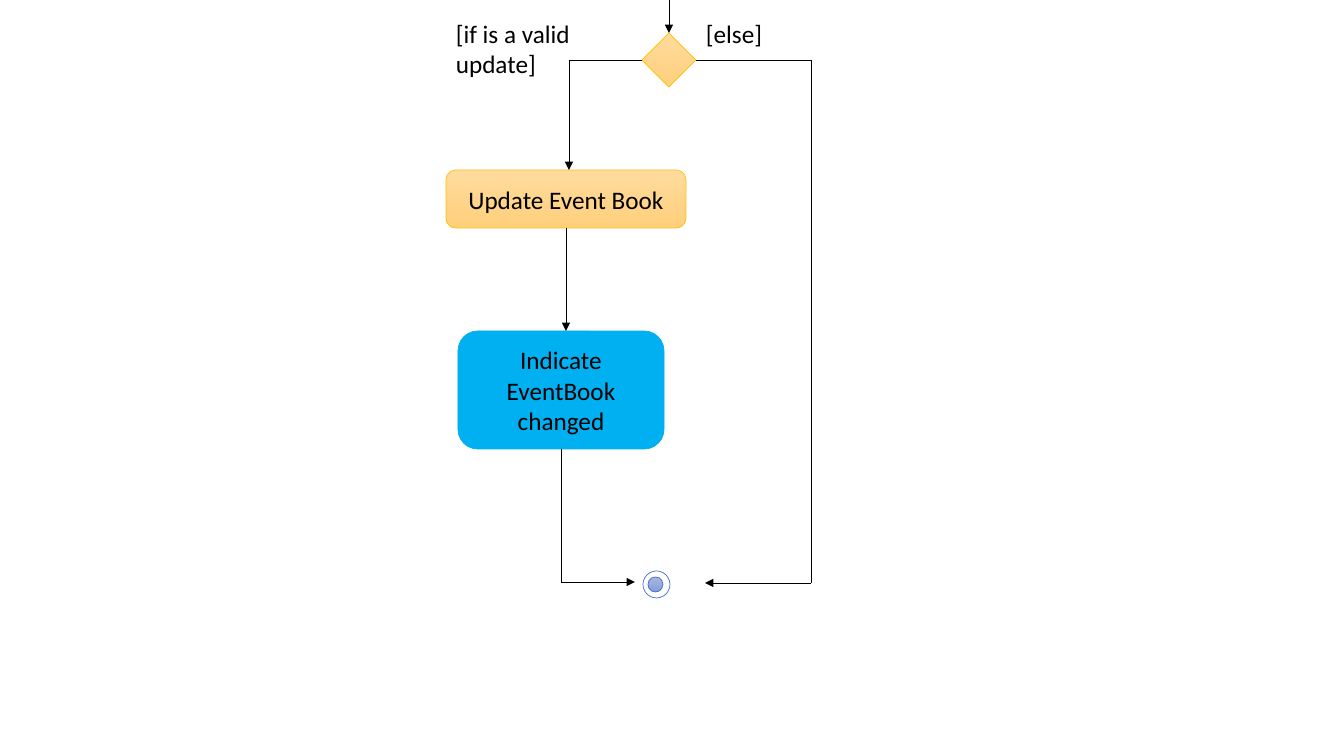
from pptx import Presentation
from pptx import util as u
from pptx.dml.color import RGBColor
from pptx.enum import shapes, text
from pptx.oxml.ns import qn
from lxml import etree

PX = 914400 / 100.8
TOP, LEFT, BOTTOM, RIGHT = range(4)
COLORS = {
    "ink": "000000", "white": "FFFFFF", "gold": "FFC000",
    "gold_light": "FFDB9E", "gold_deep": "FFD07C", "cyan": "00B0F0",
    "blue": "4472C4", "blue_light": "A8B7DF", "blue_deep": "889ED7",
}
GOLD_FADE = ("gold_light", "gold_deep")
BLUE_FADE = ("blue_light", "blue_deep")
KIND = shapes.MSO_SHAPE

NODES = {
    "decision": (KIND.DIAMOND, (642, 33, 54, 54), GOLD_FADE, "gold", ""),
    "update": (KIND.ROUNDED_RECTANGLE, (446, 170, 240, 58), GOLD_FADE, "gold",
               "Update Event Book"),
    "indicate": (KIND.ROUNDED_RECTANGLE, (458, 331, 206, 118), ("cyan",), "cyan",
                 "Indicate EventBook changed"),
}
END_RINGS = [
    (KIND.OVAL, (643, 571, 27, 27), ("white",), "blue", ""),
    (KIND.OVAL, (648, 577, 15, 15), BLUE_FADE, "blue", ""),
]
GUARDS = [
    ("[if is a valid update]", (446, 13, 210, 71)),
    ("[else]", (696, 13, 94, 40)),
]
FLOWS = [
    ((669, -34), (669, 33), True, None, ("decision", TOP)),
    ((569, 60), (642, 60), False, None, ("decision", LEFT)),
    ((569, 60), (569, 170), True, None, None),
    ((696, 60), (811, 60), False, ("decision", RIGHT), None),
    ((811, 60), (811, 583), False, None, None),
    ((811, 583), (705, 583), True, None, None),
    ((566, 228), (566, 331), True, ("update", BOTTOM), None),
    ((561, 449), (561, 582), False, ("indicate", BOTTOM), None),
    ((561, 582), (635, 582), True, None, None),
]


def rgb(name):
    return RGBColor.from_string(COLORS[name])


def emu(lengths):
    return [u.Emu(round(length * PX)) for length in lengths]


def write(box, words, align):
    frame = box.text_frame
    frame.word_wrap = True
    frame.text = words
    para = frame.paragraphs[0]
    para.alignment = align
    for span in para.runs:
        span.font.name = "Calibri"
        span.font.size = u.Pt(18)
        span.font.color.rgb = rgb("ink")


def add_node(parent, kind, place, fill, outline, words):
    node = parent.add_shape(kind, *emu(place))
    node.shadow.inherit = False
    if len(fill) == 2:
        node.fill.gradient()
        node.fill.gradient_angle = 270
        for stop, name in zip(node.fill.gradient_stops, fill):
            stop.color.rgb = rgb(name)
    else:
        node.fill.solid()
        node.fill.fore_color.rgb = rgb(fill[0])
    node.line.color.rgb = rgb(outline)
    node.line.width = u.Pt(0.5)
    if words:
        node.text_frame.vertical_anchor = text.MSO_ANCHOR.MIDDLE
        write(node, words, text.PP_ALIGN.CENTER)
    return node


def add_flow(parent, nodes, start, end, arrow, source, target):
    flow = parent.add_connector(shapes.MSO_CONNECTOR.STRAIGHT, *emu(start + end))
    if source:
        flow.begin_connect(nodes[source[0]], source[1])
    if target:
        flow.end_connect(nodes[target[0]], target[1])
    flow.line.color.rgb = rgb("ink")
    flow.line.width = u.Pt(0.5)
    if arrow:
        outline = flow.line._get_or_add_ln()
        etree.SubElement(outline, qn("a:tailEnd"), type="triangle")
    etree.SubElement(flow._element.spPr, qn("a:effectLst"))


def main():
    deck = Presentation()
    deck.slide_width, deck.slide_height = emu((1344, 756))
    page = deck.slides.add_slide(deck.slide_layouts[6])
    nodes = {name: add_node(page.shapes, *node) for name, node in NODES.items()}
    for flow in FLOWS:
        add_flow(page.shapes, nodes, *flow)
    for words, place in GUARDS:
        box = page.shapes.add_textbox(*emu(place))
        write(box, words, text.PP_ALIGN.LEFT)
        box.text_frame.auto_size = text.MSO_AUTO_SIZE.SHAPE_TO_FIT_TEXT
    end_marker = page.shapes.add_group_shape()
    for ring in END_RINGS:
        add_node(end_marker.shapes, *ring)
    deck.save("out.pptx")


if __name__ == "__main__":
    main()
